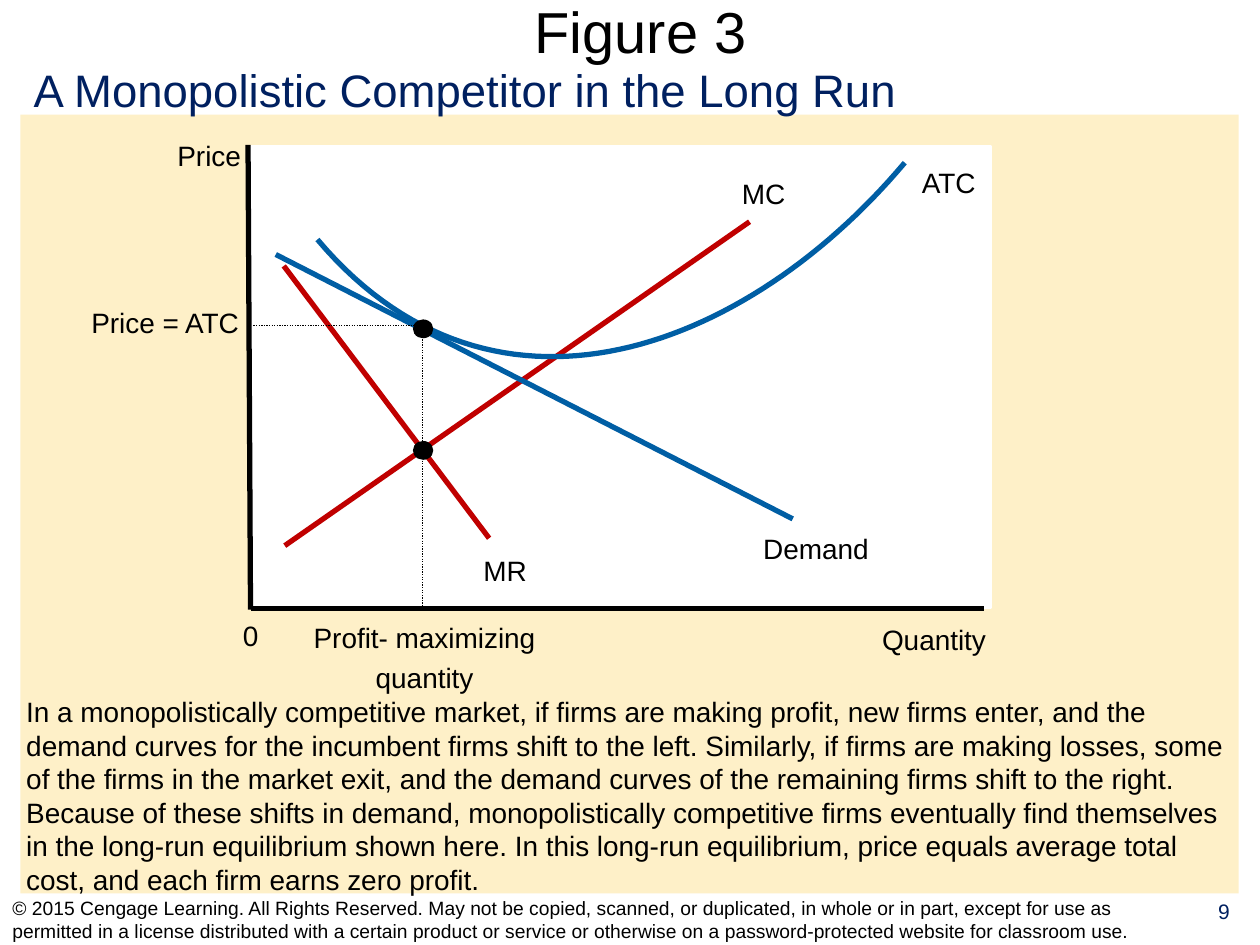
"""Build the slide on a monopolistic competitor's long-run equilibrium."""
from lxml import etree
from pptx import Presentation
from pptx.dml.color import RGBColor
from pptx.enum import dml, shapes, text
from pptx.oxml.ns import qn
from pptx.util import Cm, Pt

COLOURS = {"black": "000000", "white": "FFFFFF", "navy": "002060",
           "cream": "FEF0C8", "red": "C00000", "blue": "005EA4"}
FONT = "Arial"
LEFT, CENTER, RIGHT = text.PP_ALIGN.LEFT, text.PP_ALIGN.CENTER, text.PP_ALIGN.RIGHT
TOP, MIDDLE = text.MSO_ANCHOR.TOP, text.MSO_ANCHOR.MIDDLE

TITLE = "Figure 3"
SUBTITLE = "A Monopolistic Competitor in the Long Run"
EXPLANATION = (
    "In a monopolistically competitive market, if firms are making profit, new firms enter, "
    "and the demand curves for the incumbent firms shift to the left. Similarly, if firms are "
    "making losses, some of the firms in the market exit, and the demand curves of the "
    "remaining firms shift to the right. Because of these shifts in demand, monopolistically "
    "competitive firms eventually find themselves in the long-run equilibrium shown here. In "
    "this long-run equilibrium, price equals average total cost, and each firm earns zero profit."
)
COPYRIGHT = (
    "© 2015 Cengage Learning. All Rights Reserved. May not be copied, scanned, or duplicated, "
    "in whole or in part, except for use as permitted in a license distributed with a certain "
    "product or service or otherwise on a password-protected website for classroom use."
)

# Every place below is in centimetres.
PANEL = (0.41, 2.31, 24.56, 15.7)
PLOT = (5.08, 2.95, 14.88, 9.3)
EQUILIBRIUM = [(8.53, 6.63), (8.53, 9.08)]
DOT = (0.41, 0.38)
ATC_CURVE = [(6.4, 4.83), (9.98, 9.07), (15.11, 7.01), (18.24, 3.28)]
CURVE_STEPS = 60

LINES = [
    ("black", 3, (5, 2.92), (5.05, 12.29)),
    ("black", 3, (5.05, 12.27), (19.84, 12.27)),
    ("red", 3, (5.74, 11), (15.11, 4.47)),
    ("black", 0.75, (8.52, 6.58), (8.52, 12.22)),
    ("red", 3, (5.72, 5.36), (9.86, 10.85)),
    ("blue", 3, (5.56, 5.13), (15.98, 10.46)),
    ("black", 0.75, (5.11, 6.56), (8.53, 6.56)),
]
LABELS = [
    ("Price", RIGHT, (3.33, 2.67, 1.78, 0.94)),
    ("Quantity", CENTER, (17.53, 12.42, 2.6, 0.94)),
    ("0", CENTER, (4.65, 12.34, 0.81, 0.94)),
    ("MC", CENTER, (14.71, 3.43, 1.37, 0.94)),
    ("ATC", CENTER, (18.31, 3.2, 1.63, 0.94)),
    ("Profit- maximizing\nquantity", CENTER, (6.07, 12.37, 4.98, 1.75)),
    ("MR", CENTER, (9.5, 11.02, 1.37, 0.94)),
    ("Demand", CENTER, (15.14, 10.59, 2.62, 0.94)),
    ("Price = ATC", CENTER, (1.55, 6.04, 3.56, 0.94)),
]
TEXTS = [
    (SUBTITLE, (0.43, 1.12, 17.96, 1.37), 26, "navy", LEFT, TOP, False),
    (EXPLANATION, (0.28, 13.87, 24.92, 4.32), 16, "black", LEFT, TOP, True),
    (COPYRIGHT, (0, 18.03, 23.93, 1.02), 11, "black", LEFT, MIDDLE, True),
    ("9", (23.95, 17.98, 1.45, 1.04), 12, "navy", CENTER, TOP, True),
]


def colour(name):
    return RGBColor.from_string(COLOURS[name])


def apply(target, **values):
    for name, value in values.items():
        setattr(target, name, value)


def write(box, words, size, ink, align, anchor, wrap, margins=(0.25, 0.13)):
    frame = box.text_frame
    side, edge = map(Cm, margins)
    apply(frame, text=words, word_wrap=wrap, vertical_anchor=anchor,
          auto_size=text.MSO_AUTO_SIZE.NONE, margin_left=side, margin_right=side,
          margin_top=edge, margin_bottom=edge)
    for index, para in enumerate(frame.paragraphs):
        apply(para, alignment=align, space_before=Pt(4 if index else 0))
        for span in para.runs:
            apply(span.font, name=FONT, size=Pt(size))
            span.font.color.rgb = colour(ink)


def add_text(page, words, place, *style):
    write(page.shapes.add_textbox(*map(Cm, place)), words, *style)


def add_filled(page, kind, place, fill):
    shape = page.shapes.add_shape(kind, *map(Cm, place))
    shape.shadow.inherit = False
    shape.fill.solid()
    shape.fill.fore_color.rgb = colour(fill)
    shape.line.fill.background()
    return shape


def add_line(page, ink, width, start, end):
    line = page.shapes.add_connector(shapes.MSO_CONNECTOR.STRAIGHT, *map(Cm, start + end))
    line.line.color.rgb = colour(ink)
    line.line.width = Pt(width)
    if width < 1:
        line.line.dash_style = dml.MSO_LINE.ROUND_DOT
    etree.SubElement(line._element.spPr, qn("a:effectLst"))


def bezier(points, t):
    weights = ((1 - t) ** 3, 3 * t * (1 - t) ** 2, 3 * t * t * (1 - t), t ** 3)
    return tuple(Cm(sum(w * p[axis] for w, p in zip(weights, points))) for axis in (0, 1))


def add_curve(page, points, ink):
    start, *rest = [bezier(points, step / CURVE_STEPS) for step in range(CURVE_STEPS + 1)]
    builder = page.shapes.build_freeform(*start)
    builder.add_line_segments(rest, close=False)
    curve = builder.convert_to_shape()
    curve.shadow.inherit = False
    curve.fill.background()
    curve.line.color.rgb = colour(ink)
    curve.line.width = Pt(3)


def main():
    deck = Presentation()
    apply(deck, slide_width=Cm(25.4), slide_height=Cm(19.05))
    page = deck.slides.add_slide(deck.slide_layouts[5])

    title = page.shapes.title
    apply(title, left=Cm(0.89), top=Cm(0), width=Cm(24.05), height=Cm(1.24))
    write(title, TITLE, 33, "black", CENTER, MIDDLE, True, (0, 0))

    add_filled(page, shapes.MSO_SHAPE.RECTANGLE, PANEL, "cream")
    plot = add_filled(page, shapes.MSO_SHAPE.RECTANGLE, PLOT, "white")
    plot.line.color.rgb = colour("white")
    plot.line.width = Pt(2)

    for line in LINES:
        add_line(page, *line)
    add_curve(page, ATC_CURVE, "blue")
    for x, y in EQUILIBRIUM:
        width, height = DOT
        add_filled(page, shapes.MSO_SHAPE.OVAL,
                   (x - width / 2, y - height / 2, width, height), "black")

    for words, align, place in LABELS:
        add_text(page, words, place, 16, "black", align, TOP, False)
    for words, place, *style in TEXTS:
        add_text(page, words, place, *style)
    deck.save("out.pptx")


if __name__ == "__main__":
    main()
